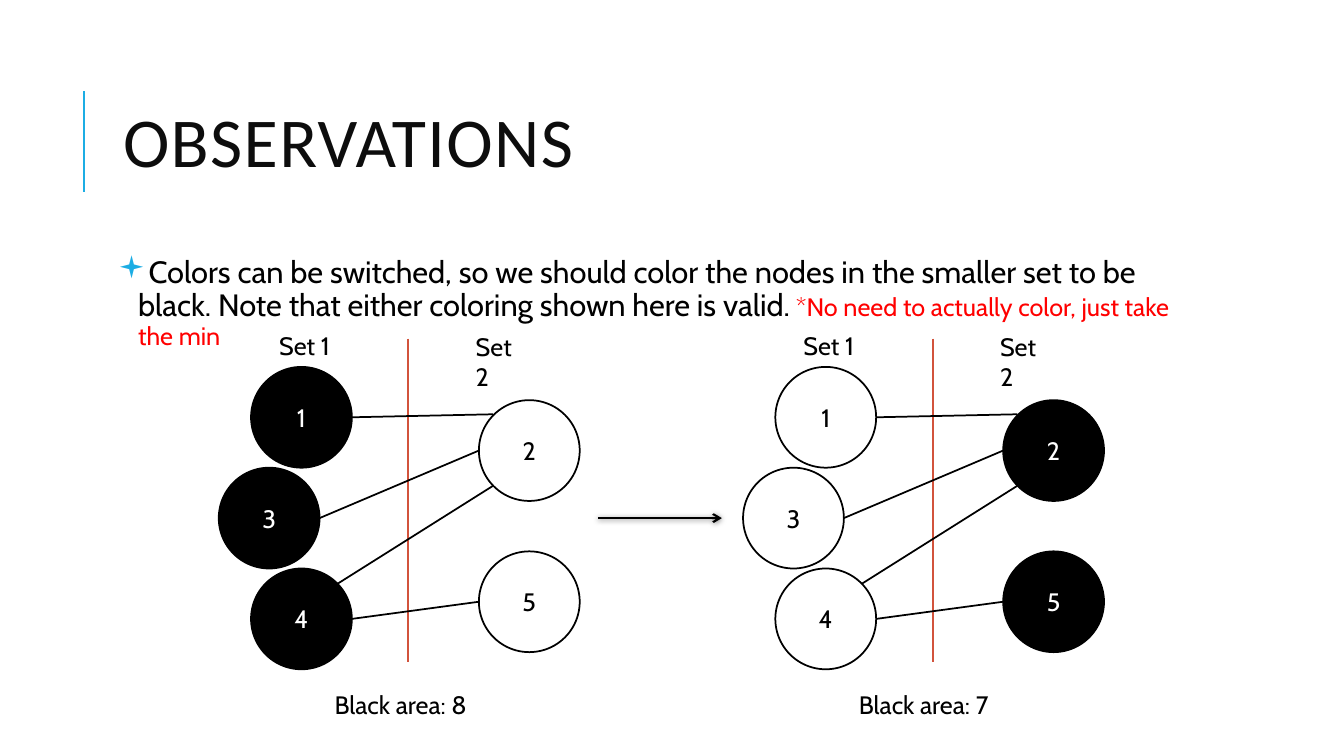
from lxml import etree
from pptx import Presentation
from pptx.dml.color import RGBColor
from pptx.enum.shapes import MSO_CONNECTOR, MSO_SHAPE
from pptx.enum.text import MSO_ANCHOR, PP_ALIGN
from pptx.oxml import parse_xml
from pptx.oxml.ns import nsdecls, qn
from pptx.util import Inches, Pt

COLORS = {
    "black": "000000",
    "white": "FFFFFF",
    "title": "0D0D0D",
    "accent": "1CADE4",
    "divider": "D2533C",
    "note": "FF0000",
}
BODY_FONT = "Cabin"
TITLE_FONT = "Calibri"
NODE_SIZE = 1
GRAPH_STEP = 5.2  # distance between the two colorings

# Left and top of each node in the first graph
NODES = {"1": (2.49, 3.64), "2": (4.75, 3.97), "3": (2.17, 4.64),
         "4": (2.49, 5.64), "5": (4.75, 5.47)}
SMALLER_SET = {"2", "5"}
EDGES = [
    ((3.49, 4.14), (4.89, 4.11)),
    ((3.17, 5.14), (4.75, 4.47)),
    ((4.75, 5.97), (3.49, 6.14)),
    ((3.35, 5.79), (4.89, 4.82)),
]


def rgb(name):
    return RGBColor.from_string(COLORS[name])


def add_run(paragraph, text, size, color="black", font=BODY_FONT):
    run = paragraph.add_run()
    run.text = text
    run.font.size = Pt(size)
    run.font.name = font
    run.font.color.rgb = rgb(color)
    return run


def add_line(shapes, start, end, color="black", width=1.25):
    points = [Inches(value) for value in (*start, *end)]
    line = shapes.add_connector(MSO_CONNECTOR.STRAIGHT, *points)
    line.line.color.rgb = rgb(color)
    line.line.width = Pt(width)
    etree.SubElement(line._element.spPr, qn("a:effectLst"))
    return line


def add_label(shapes, text, left, top, width):
    box = shapes.add_textbox(Inches(left), Inches(top), Inches(width), Inches(0.4))
    box.text_frame.word_wrap = True
    add_run(box.text_frame.paragraphs[0], text, 18)


def add_node(shapes, text, left, top, filled):
    node = shapes.add_shape(MSO_SHAPE.OVAL, Inches(left), Inches(top),
                            Inches(NODE_SIZE), Inches(NODE_SIZE))
    node.shadow.inherit = False
    node.fill.solid()
    node.fill.fore_color.rgb = rgb("black" if filled else "white")
    node.line.color.rgb = rgb("black")
    node.line.width = Pt(1.25)
    node.text_frame.vertical_anchor = MSO_ANCHOR.MIDDLE
    paragraph = node.text_frame.paragraphs[0]
    paragraph.alignment = PP_ALIGN.CENTER
    add_run(paragraph, text, 18, "white" if filled else "black")


def add_graph(slide, offset, black_nodes):
    shapes = slide.shapes.add_group_shape().shapes
    add_line(shapes, (4.05 + offset, 3.36), (4.05 + offset, 6.57), "divider")
    add_label(shapes, "Set 1", 2.67 + offset, 3.23, 0.73)
    add_label(shapes, "Set 2", 4.62 + offset, 3.24, 0.7)
    for name, (left, top) in NODES.items():
        add_node(shapes, name, left + offset, top, name in black_nodes)
    for (start_x, start_y), (end_x, end_y) in EDGES:
        add_line(shapes, (start_x + offset, start_y), (end_x + offset, end_y))


def add_arrow(shapes, start, end):
    arrow = add_line(shapes, start, end, width=1.5)
    etree.SubElement(arrow.line._get_or_add_ln(), qn("a:tailEnd"), type="arrow")
    effects = arrow._element.spPr.find(qn("a:effectLst"))
    effects.append(parse_xml(
        f'<a:outerShdw {nsdecls("a")} blurRad="{Pt(4)}" dist="{Pt(1)}" dir="5400000">'
        f'<a:srgbClr val="{COLORS["black"]}"><a:alpha val="50000"/></a:srgbClr>'
        '</a:outerShdw>'))


def add_title(slide, text):
    title = slide.shapes.title
    title.left, title.top = Inches(1.12), Inches(0.64)
    title.width, title.height = Inches(10.63), Inches(1.64)
    title.text_frame.vertical_anchor = MSO_ANCHOR.MIDDLE
    paragraph = title.text_frame.paragraphs[0]
    paragraph.alignment = PP_ALIGN.LEFT
    paragraph.line_spacing = 0.8
    run = add_run(paragraph, text, 50, "title", TITLE_FONT)
    run.font._element.set("spc", "100")


def add_bullet(paragraph):
    properties = paragraph._p.get_or_add_pPr()
    properties.set("marL", str(Inches(0.2)))
    properties.set("indent", str(-Inches(0.2)))
    color = etree.SubElement(properties, qn("a:buClr"))
    etree.SubElement(color, qn("a:srgbClr"), val=COLORS["accent"])
    etree.SubElement(properties, qn("a:buFont"), typeface="Wingdings")
    etree.SubElement(properties, qn("a:buChar"), char="▪")


def add_body(slide):
    body = slide.shapes.add_textbox(Inches(1.12), Inches(2.5), Inches(10.63), Inches(4.4))
    frame = body.text_frame
    frame.word_wrap = True
    frame.margin_left = frame.margin_right = Inches(0.05)
    frame.margin_top = frame.margin_bottom = Inches(0.05)
    paragraph = frame.paragraphs[0]
    paragraph.line_spacing = 0.9
    paragraph.space_before = Pt(12)
    paragraph.space_after = Pt(2)
    add_bullet(paragraph)
    add_run(paragraph, "Colors can be switched, so we should color the nodes in the smaller "
                       "set to be black. Note that either coloring shown here is valid.", 22)
    add_run(paragraph, " *No need to actually color, just take the min", 18, "note")


def main():
    presentation = Presentation()
    presentation.slide_width = Inches(13.33)
    presentation.slide_height = Inches(7.5)
    slide = presentation.slides.add_slide(presentation.slide_layouts[5])

    # Heading and explanation
    add_line(slide.shapes, (0.83, 1.9), (0.83, 0.9), "accent", 1.5)
    add_title(slide, "OBSERVATIONS")
    add_body(slide)

    # Both colorings with their black areas
    colorings = [(set(NODES) - SMALLER_SET, 8), (SMALLER_SET, 7)]
    for index, (black_nodes, area) in enumerate(colorings):
        offset = index * GRAPH_STEP
        add_graph(slide, offset, black_nodes)
        add_label(slide.shapes, f"Black area: {area}", 3.22 + offset, 6.79, 1.56)

    # Switch from one coloring to the other
    add_arrow(slide.shapes, (5.93, 5.14), (7.16, 5.14))
    presentation.save("out.pptx")


if __name__ == "__main__":
    main()
